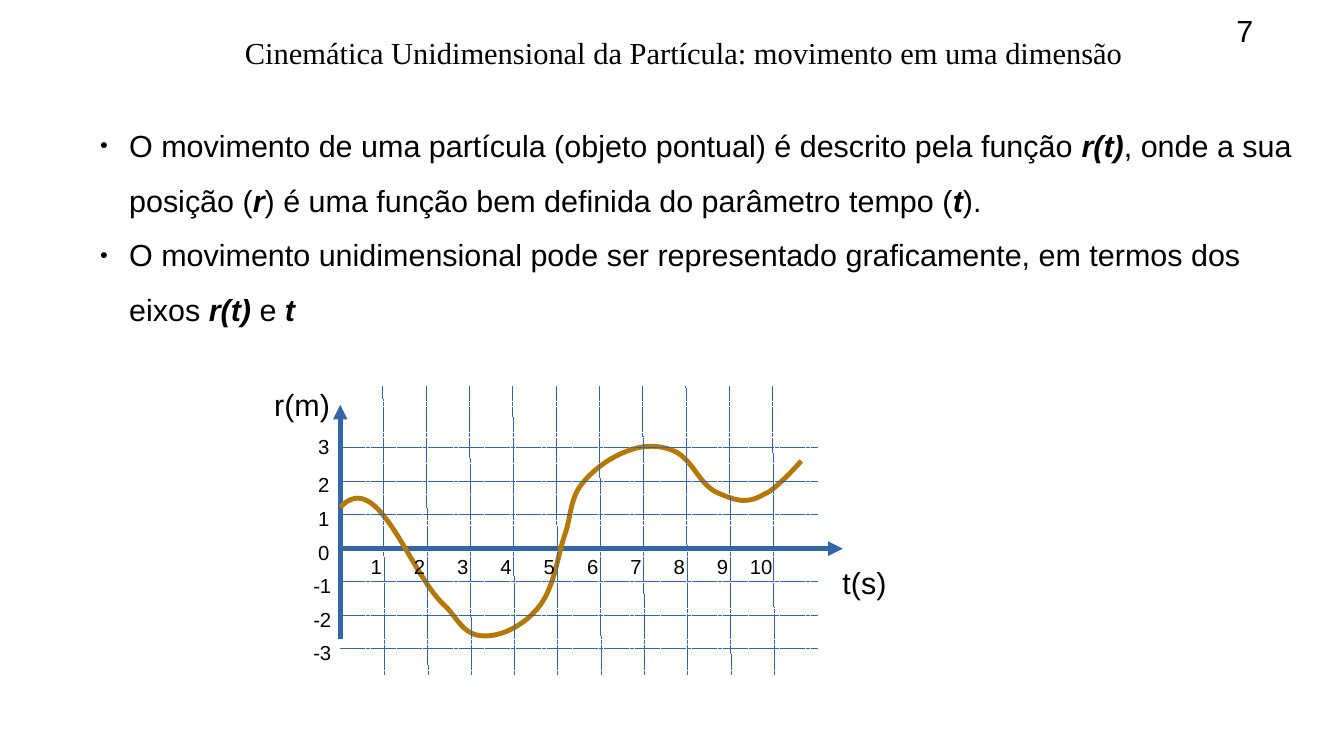
from lxml import etree
from pptx import Presentation
from pptx.dml.color import RGBColor
from pptx.enum.dml import MSO_LINE
from pptx.enum.shapes import MSO_CONNECTOR
from pptx.enum.text import MSO_AUTO_SIZE, PP_ALIGN
from pptx.oxml.ns import qn
from pptx.util import Pt

PX = 9144  # 100 px to the inch
STRAIGHT = MSO_CONNECTOR.STRAIGHT
FINE_DASH = MSO_LINE.SQUARE_DOT
JUSTIFY = PP_ALIGN.JUSTIFY
GROW = MSO_AUTO_SIZE.SHAPE_TO_FIT_TEXT
COLORS = {"text": "000000", "axis": "3465A4", "curve": "B47804"}
PLAIN, EMPHASIS = {}, {"bold": True, "italic": True}
STROKE = 2.89

BULLETS = [
    [("O movimento de uma partícula (objeto pontual) é descrito pela função ", PLAIN),
     ("r(t)", EMPHASIS), (", onde a sua posição (", PLAIN), ("r", EMPHASIS),
     (") é uma função bem definida do parâmetro tempo (", PLAIN),
     ("t", EMPHASIS), (").", PLAIN)],
    [("O movimento unidimensional pode ser representado graficamente, "
      "em termos dos eixos ", PLAIN),
     ("r(t)", EMPHASIS), (" e ", PLAIN), ("t", EMPHASIS)],
]
# Offsets from the plot's origin: a start point, then cubic segments
CURVE_START = (0, -34)
CURVE_SEGMENTS = [
    ((31, -67), (56, 19), (85, 46)),
    ((94, 54), (100, 69), (113, 71)),
    ((129, 74), (148, 64), (159, 52)),
    ((176, 35), (177, 8), (185, -14)),
    ((189, -27), (189, -42), (198, -53)),
    ((209, -67), (227, -79), (245, -83)),
    ((255, -85), (265, -84), (274, -80)),
    ((289, -73), (294, -53), (309, -46)),
    ((321, -41), (332, -35), (348, -45)),
    ((357, -48), (378, -72), (378, -72)),
]
LABEL_TOPS = {3: 39, 2: 70, 1: 98, 0: 126, -1: 153, -2: 181, -3: 208}


def rgb(name):
    return RGBColor.from_string(COLORS[name])


def add_text(shapes, box, paragraphs, size=18, font="Arial", wrap=False,
             bullet=False, **layout):
    textbox = shapes.add_textbox(*(round(v * PX) for v in box))
    frame = textbox.text_frame
    frame.word_wrap = wrap
    frame.auto_size = GROW
    for i, runs in enumerate(paragraphs):
        paragraph = frame.add_paragraph() if i else frame.paragraphs[0]
        for name, value in layout.items():
            setattr(paragraph, name, value)
        if bullet:
            add_bullet(paragraph)
        for text, style in runs:
            run = paragraph.add_run()
            run.text = text
            run.font.color.rgb = rgb("text")
            for name, value in {"size": Pt(size), "name": font, **style}.items():
                setattr(run.font, name, value)


def add_bullet(paragraph):
    properties = paragraph._p.get_or_add_pPr()
    properties.set("marL", str(24 * PX))
    properties.set("indent", str(-24 * PX))
    color = etree.SubElement(properties, qn("a:buClr"))
    etree.SubElement(color, qn("a:srgbClr"), val=COLORS["text"])
    etree.SubElement(properties, qn("a:buSzPct"), val="45000")
    etree.SubElement(properties, qn("a:buFont"), typeface="Arial")
    etree.SubElement(properties, qn("a:buChar"), char="●")


def add_label(shapes, box, text, size=18):
    add_text(shapes, box, [[(text, PLAIN)]], size)


def add_line(shapes, start, end, arrow=False):
    """Draw an arrowed axis, or else a dashed hairline of the grid."""
    line = shapes.add_connector(STRAIGHT, *(round(v * PX) for v in (*start, *end)))
    line.line.color.rgb = rgb("axis")
    outline = line.line._get_or_add_ln()
    if arrow:
        line.line.width = Pt(STROKE)
        etree.SubElement(outline, qn("a:tailEnd"), type="triangle")
    else:
        line.line.dash_style = FINE_DASH
        outline.set("w", "0")
    etree.SubElement(line._element.spPr, qn("a:effectLst"))


def add_curve(shapes, origin):
    def place(point):
        return [(o + p) * PX for o, p in zip(origin, point)]

    builder = shapes.build_freeform(*place(CURVE_START), scale=1.0)
    points = [place(point) for segment in CURVE_SEGMENTS for point in segment]
    builder.add_line_segments(points, close=False)
    curve = builder.convert_to_shape()
    bend_segments(curve)
    curve.shadow.inherit = False
    curve.fill.background()
    curve.line.color.rgb = rgb("curve")
    curve.line.width = Pt(STROKE)


def bend_segments(curve):
    """Turn every three straight segments into one cubic segment."""
    straights = list(curve._element.iter(qn("a:lnTo")))
    for i in range(0, len(straights), 3):
        outline = straights[i].getparent()
        cubic = etree.SubElement(outline, qn("a:cubicBezTo"))
        for straight in straights[i:i + 3]:
            cubic.append(straight[0])
            outline.remove(straight)


def add_heading(slide, box, number):
    left, top, width, height = box
    title = "Cinemática Unidimensional da Partícula: movimento em uma dimensão"
    add_text(slide.shapes, (left, top + 3, 742, height), [[(title, PLAIN)]],
             font="Times New Roman", alignment=JUSTIFY, line_spacing=1.5)
    add_text(slide.shapes, (left + width - 98, top, 98, 47), [[(number, PLAIN)]],
             wrap=True)


def add_body(slide, box):
    add_text(slide.shapes, box, BULLETS, wrap=True, bullet=True, line_spacing=1.5)


def add_plot(slide, box):
    left, top, width, height = box
    shapes = slide.shapes.add_group_shape().shapes
    x0, y0 = left + 64, top + 138
    column, row = 35.5, 27.5

    add_line(shapes, (x0, y0 + 74), (x0, y0 - 118), arrow=True)
    add_line(shapes, (x0, y0), (x0 + 412, y0), arrow=True)
    add_label(shapes, (left + width - 56, top + 146, 56, 38), "t(s)")
    add_label(shapes, (left, top, 66, 38), "r(m)")
    add_curve(shapes, (x0, y0))

    for second in range(1, 11):
        x = x0 + second * column
        add_line(shapes, (x - 0.5, top + 5), (x + 1, top + height))
    for metre in LABEL_TOPS:
        if metre:
            y = y0 - metre * row - 0.5
            add_line(shapes, (x0, y), (x0 + 391, y))

    for metre, offset in LABEL_TOPS.items():
        x, label_width = (32, 35) if metre < 0 else (36, 29)
        add_label(shapes, (left + x, top + offset, label_width, 29), str(metre), 12)
    for second in range(1, 11):
        x, label_width = (-29, 40) if second == 10 else (-20.5, 29)
        add_label(shapes, (x0 + second * column + x, y0 - 0.5, label_width, 29),
                  str(second), 12)


def main():
    presentation = Presentation()
    presentation.slide_width, presentation.slide_height = 1102 * PX, 620 * PX
    slide = presentation.slides.add_slide(presentation.slide_layouts[6])
    add_heading(slide, (191, 5, 911, 51), "7")
    add_body(slide, (72, 84, 998, 178))
    add_plot(slide, (215, 312, 522, 241))
    presentation.save("out.pptx")


if __name__ == "__main__":
    main()
